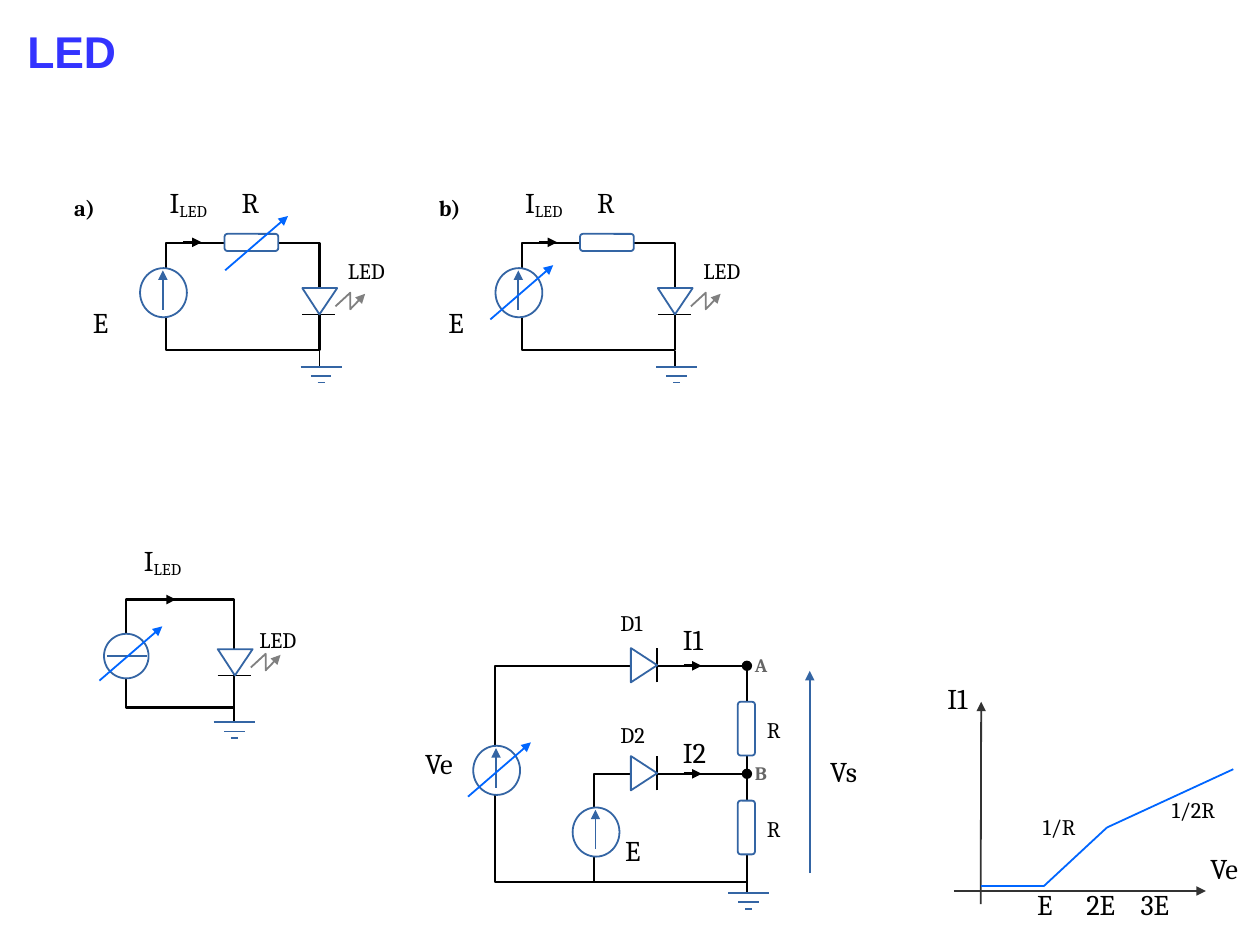
from lxml import etree
from pptx import Presentation
from pptx import util as u
from pptx.dml.color import RGBColor
from pptx.enum import shapes, text
from pptx.oxml.ns import qn

CELL = 0.1  # side of a grid cell in inches
BLACK, WHITE, GREY, DARK = "000000", "FFFFFF", "808080", "333333"
STEEL, BLUE, TITLE_BLUE, NODE_GREY = "3465A4", "0066FF", "3333FF", "666666"
THIN, WIRE, LEAD, HAIRLINE = 1.13, 1.42, 1.02, 0


def grid(cells):
    return u.Inches(cells * CELL)


def color(hex_string):
    return RGBColor.from_string(hex_string)


class CircuitSlide:
    """Draws circuit symbols; all lengths are columns and rows of the grid."""

    def __init__(self, presentation, font="Cambria"):
        self.slide = presentation.slides.add_slide(presentation.slide_layouts[6])
        self.shapes = self.slide.shapes
        self.font = font

    def stroke(self, shape, line, weight, arrow):
        shape.line.color.rgb = color(line)
        shape.line.width = u.Pt(weight)
        if arrow:
            etree.SubElement(shape.line._get_or_add_ln(), qn("a:tailEnd"), type="triangle")

    def outline(self, shape, line, weight, fill=None, arrow=False):
        self.stroke(shape, line, weight, arrow)
        if fill:
            shape.fill.solid()
            shape.fill.fore_color.rgb = color(fill)
        else:
            shape.fill.background()
        shape.shadow.inherit = False

    def preset(self, kind, left, top, width, height, line=STEEL, weight=THIN, fill=WHITE):
        shape = self.shapes.add_shape(kind, grid(left), grid(top), grid(width), grid(height))
        self.outline(shape, line, weight, fill)

    def line(self, x1, y1, x2, y2, line=STEEL, weight=THIN, arrow=False):
        connector = self.shapes.add_connector(
            shapes.MSO_CONNECTOR.STRAIGHT, grid(x1), grid(y1), grid(x2), grid(y2))
        self.stroke(connector, line, weight, arrow)
        etree.SubElement(connector._element.spPr, qn("a:effectLst"))

    def polygon(self, points, line=STEEL, fill=WHITE, close=True, arrow=False):
        corners = [(grid(x), grid(y)) for x, y in points]
        builder = self.shapes.build_freeform(*corners[0])
        builder.add_line_segments(corners[1:], close=close)
        self.outline(builder.convert_to_shape(), line, THIN, fill, arrow)

    def label(self, words, left, top, size=18, width=6.5, height=4.7,
              ink=BLACK, bold=False, font=None, subscript=None):
        box = self.shapes.add_textbox(grid(left), grid(top), grid(width), grid(height))
        frame = box.text_frame
        frame.word_wrap = True
        frame.margin_right = 0
        frame.vertical_anchor = text.MSO_ANCHOR.TOP
        frame.text = words
        paragraph = frame.paragraphs[0]
        if subscript:
            run = paragraph.add_run()
            run.text = subscript
            run.font._element.set("baseline", "-14000")
        for run in paragraph.runs:
            run.font.name = font or self.font
            run.font.size = u.Pt(size)
            run.font.bold = bold
            run.font.color.rgb = color(ink)

    def small_label(self, words, left, top, width=5.8):
        self.label(words, left, top, 14, width, 3.3)

    def wire_loop(self, left, top, width, height):
        self.preset(shapes.MSO_SHAPE.RECTANGLE, left, top, width, height, BLACK, WIRE, None)

    def resistor(self, left, top, width=1.5, height=4.7):
        self.preset(shapes.MSO_SHAPE.ROUNDED_RECTANGLE, left, top, width, height)

    def voltage_source(self, left, top):
        self.preset(shapes.MSO_SHAPE.OVAL, left, top, 4.1, 4.3)
        self.line(left + 2, top + 3.65, left + 2, top + 0.2, arrow=True)

    def current_source(self, left, top):
        self.preset(shapes.MSO_SHAPE.OVAL, left, top, 3.9, 3.9)
        self.line(left + 0.25, top + 1.95, left + 3.75, top + 1.95)

    def variable_arrow(self, left, top):
        self.line(left, top + 4.75, left + 5.5, top, BLUE, arrow=True)

    def current_arrow(self, left, top):
        self.line(left, top, left + 1.6, top, BLACK, HAIRLINE, arrow=True)

    def led(self, x, y):
        """Downward diode with its tip at x, y and a light ray beside it."""
        self.line(x - 1.5, y, x + 1.4, y, BLACK, LEAD)
        self.polygon([(x, y), (x + 1.55, y - 2.3), (x - 1.5, y - 2.3)])
        ray = [(1.4, -0.7), (2.7, -1.9), (2.7, -0.45), (4, -1.8)]
        self.polygon([(x + dx, y + dy) for dx, dy in ray], GREY, None, close=False, arrow=True)

    def diode(self, x, y):
        """Diode pointing right with its tip at x, y."""
        self.line(x, y + 1.5, x, y - 1.5, BLACK, LEAD)
        self.polygon([(x, y), (x - 2.3, y - 1.5), (x - 2.3, y + 1.5)])

    def ground(self, x, y, stub_x, stub_length):
        self.line(stub_x, y - stub_length, stub_x, y, BLACK, THIN)
        for half_width, drop in ((1.8, 0), (0.9, 0.8), (0.3, 1.35)):
            self.line(x - half_width, y + drop, x + half_width, y + drop)

    def node(self, name, x, y):
        self.preset(shapes.MSO_SHAPE.OVAL, x - 0.4, y - 0.4, 0.8, 0.8, BLACK, HAIRLINE, BLACK)
        self.label(name, x - 0.3, y - 1.6, 12, ink=NODE_GREY, bold=True)

    def resistor_circuit(self, name, name_left, left, variable_left, variable_top):
        """LED fed through a resistor; the variable arrow marks what is adjusted."""
        top, right = 21.26, left + 13.4
        self.wire_loop(left, top, 13.4, 9.4)
        self.led(right, top + 6.25)
        self.small_label("LED", right + 1.5, top + 0.75)
        self.resistor(left + 5.1, top - 0.8, 4.7, 1.5)
        self.ground(right + 0.15, top + 10.85, right, 1.4)
        self.voltage_source(left - 2.3, top + 2.2)
        self.label("E", left - 7.4, top + 4.95)
        self.label("R", left + 5.6, top - 5.6)
        self.label("I", left - 0.7, top - 5.6, subscript="LED")
        self.current_arrow(left + 1.5, top - 0.06)
        self.variable_arrow(variable_left, variable_top)
        self.label(name, name_left, 16.5, 14, bold=True)

    def current_source_circuit(self):
        left, top, side = 11, 52.45, 9.45
        right = left + side
        self.wire_loop(left, top, side, side)
        self.led(right + 0.1, top + 6.65)
        self.small_label("LED", right + 1.25, top + 1.85)
        self.ground(right + 0.05, top + 10.75, right, 1.3)
        self.current_source(left - 1.9, top + 3)
        self.current_arrow(left + 2.8, top)
        self.variable_arrow(left - 2.3, top + 2.35)
        self.label("I", left + 0.6, top - 5.45, subscript="LED")

    def two_diode_circuit(self):
        right, bottom = 65.35, 77.15
        branches = (
            (58.25, 22.05, "D1", 52.8, "I1", 53.9, 61.4, "A"),
            (67.7, 13.4, "D2", 62.6, "I2", 63.8, 70.05, "B"),
        )
        for y, width, *_ in branches:
            self.wire_loop(right - width, y, width, bottom - y)
        for y, _, diode, diode_top, current, current_top, resistor_top, node in branches:
            self.diode(57.5, y - 0.05)
            self.small_label(diode, 53.3, diode_top)
            self.label(current, 58.75, current_top)
            self.current_arrow(59.8, y)
            self.resistor(64.55, resistor_top)
            self.small_label("R", 66.1, resistor_top + 0.8)
            self.node(node, right, y)
        self.ground(65.5, 78.15, right, 1)
        self.voltage_source(50.1, 70.65)
        self.label("E", 53.7, 72.4, width=3.7)
        self.voltage_source(41.4, 65.25)
        self.variable_arrow(40.95, 64.95)
        self.label("Ve", 36.2, 64.75, width=4.5)
        self.line(70.85, 76.4, 70.85, 58.7, arrow=True)
        self.label("Vs", 71.65, 65.45, width=4.4)

    def current_plot(self):
        self.line(83.45, 77.95, 105.5, 77.95, DARK, arrow=True)
        self.line(85.8, 79.1, 85.85, 61.4, DARK, arrow=True)
        curve = [(85.8, 77.55), (91.3, 77.55), (96.85, 72.4), (107.9, 67.3)]
        for start, end in zip(curve, curve[1:]):
            self.line(*start, *end, BLUE)
        self.label("Ve", 104.9, 74, width=4.5)
        self.label("I1", 81.9, 59.05)
        for tick, left, width in (("E", 89.75, 3.7), ("2E", 94.05, 4.8), ("3E", 98.8, 4.8)):
            self.label(tick, left, 77.15, width=width)
        self.small_label("1/R", 90.25, 70.7)
        self.small_label("1/2R", 101.55, 69.15, 6.3)


def main():
    presentation = Presentation()
    presentation.slide_width, presentation.slide_height = u.Cm(28), u.Cm(21)
    drawing = CircuitSlide(presentation)
    drawing.label("LED", 1.4, 1.6, 28, 21.2, 5.3, TITLE_BLUE, True, "Arial")
    drawing.resistor_circuit("a)", 5.5, 14.55, 19.7, 18.9)
    drawing.resistor_circuit("b)", 37.4, 45.65, 42.9, 23.2)
    drawing.current_source_circuit()
    drawing.two_diode_circuit()
    drawing.current_plot()
    presentation.save("out.pptx")


if __name__ == "__main__":
    main()
